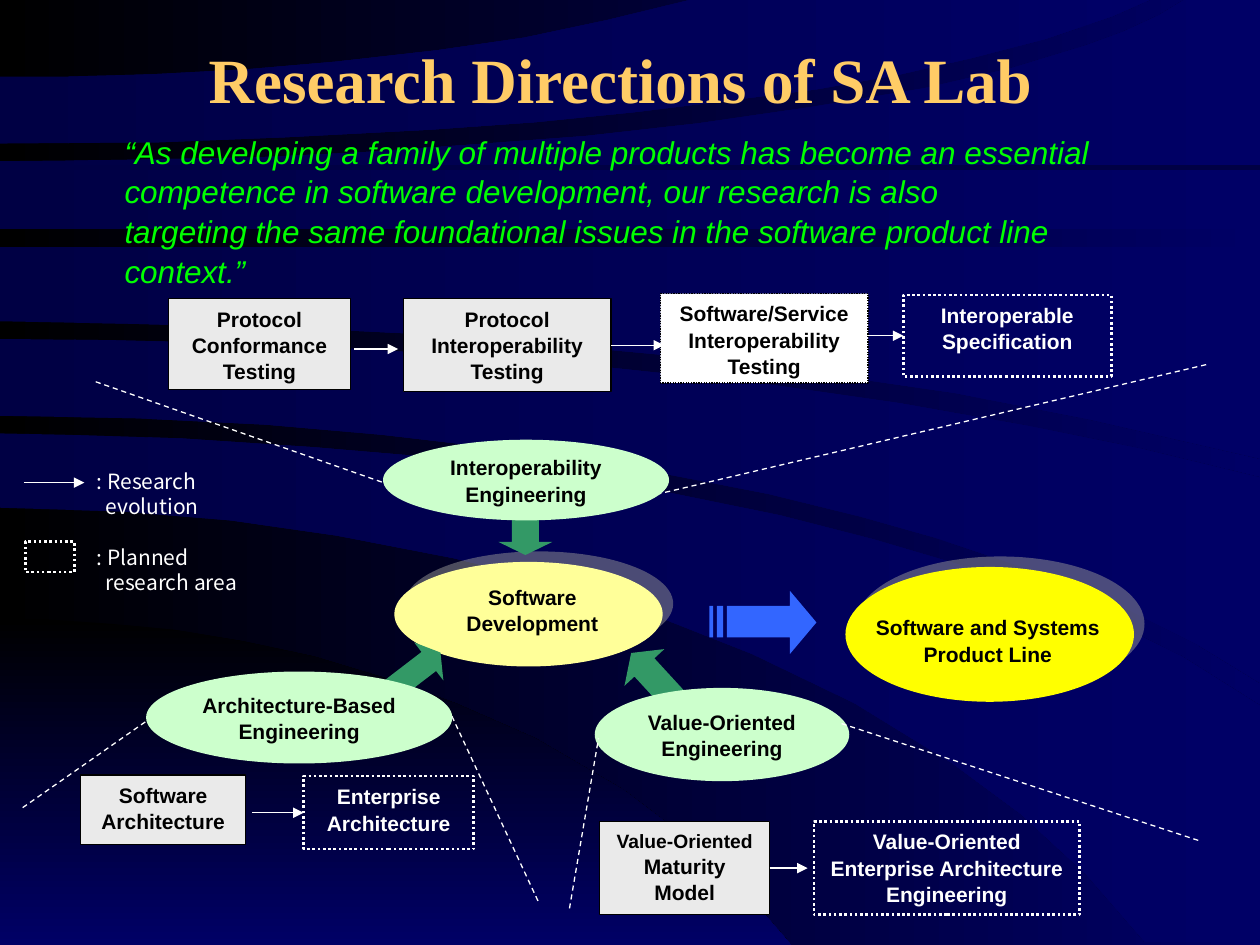
from lxml import etree
from pptx import Presentation
from pptx.dml.color import RGBColor
from pptx.enum.dml import MSO_LINE
from pptx.enum.shapes import MSO_CONNECTOR, MSO_SHAPE
from pptx.enum.text import MSO_ANCHOR, PP_ALIGN
from pptx.oxml.ns import qn
from pptx.util import Inches, Pt

CELL = Inches(0.1)
COLS, ROWS = 100, 75
RECT, OVAL, ROUND = MSO_SHAPE.RECTANGLE, MSO_SHAPE.OVAL, MSO_SHAPE.FLOWCHART_CONNECTOR
ARROW, STRAIGHT = MSO_SHAPE.LEFT_ARROW, MSO_CONNECTOR.STRAIGHT
DOT, DASH = MSO_LINE.ROUND_DOT, MSO_LINE.DASH
TOP, MIDDLE = MSO_ANCHOR.TOP, MSO_ANCHOR.MIDDLE
LEFT, CENTER = PP_ALIGN.LEFT, PP_ALIGN.CENTER
HUES = {
    "black": "000000", "white": "FFFFFF", "navy": "000066", "night": "000044",
    "gold": "FFCC66", "lime": "00FF00", "gray": "EAEAEA", "mint": "CCFFCC",
    "cream": "FFFF99", "yellow": "FFFF00", "green": "339966", "blue": "3366FF",
    "shade": "969696",
}
MOUND = [(0, 75), (0, 49.1), (2.9, 49.1), (8.6, 49.5), (13.9, 50), (19.3, 50.9), (24.9, 52.1),
         (30.5, 53.8), (36.1, 55.8), (42.5, 58.6), (49.5, 62.7), (55.3, 67.1), (59.6, 71.3),
         (62.8, 75)]
BANDS = [
    [(0, 34.4), (0, 40.3), (9.7, 40.6), (18.3, 41.3), (26.7, 42.5), (36, 44.3), (44.2, 46.3),
     (52.1, 48.9), (59.7, 51.9), (67.8, 55.8), (75.6, 60.6), (81, 64.6), (86.2, 69.4),
     (90.9, 74.8), (100, 74.8), (100, 56), (93.8, 52.1), (87.3, 48.9), (81.8, 46.8), (76.1, 44.8),
     (69.3, 42.8), (61.9, 40.9), (52.1, 38.9), (42.6, 37.4), (34.3, 36.3), (24.9, 35.5),
     (14.4, 34.8), (4.9, 34.5)],
    [(0, 26.9), (0, 33), (10.9, 33.2), (21.1, 33.7), (30.3, 34.5), (40.6, 35.7), (51.2, 37.3),
     (61, 39.2), (68.3, 41), (74.3, 42.7), (81.7, 45.2), (88.1, 47.7), (95.1, 51.2), (100, 54.2),
     (100, 37.9), (90.5, 35.6), (81.6, 33.8), (71.4, 32), (61.6, 30.6), (52.3, 29.6),
     (43.8, 28.7), (34.9, 28.1), (26.5, 27.6), (16.8, 27.2), (8.9, 27)],
    [(0, 19.6), (0, 25.5), (10.3, 25.7), (22.8, 26), (33.2, 26.5), (45.5, 27.5), (55.2, 28.4),
     (66.2, 29.8), (75.8, 31.2), (86.5, 33.3), (100, 36.4), (100, 19.6)],
    [(0, 12.8), (0, 18.2), (100, 18.2), (100, -0.2), (94.3, -0.2), (92, 1.2), (89.2, 2.5),
     (86.2, 3.6), (80.3, 5.4), (73.4, 7), (64.4, 8.5), (55.4, 9.8), (46.5, 10.8), (37.2, 11.5),
     (28.6, 12.1), (20.3, 12.5), (9.3, 12.7)],
    [(0, 6.1), (0, 11.4), (12.6, 11.3), (22.6, 10.9), (34.1, 10.3), (42.5, 9.7), (50.4, 8.9),
     (57.7, 8), (64.8, 7.1), (71.5, 5.9), (77.2, 4.6), (83, 3.1), (88.3, 1.3), (91.7, -0.2),
     (55.6, -0.2), (48.2, 1.6), (41.6, 3), (34.7, 4), (26.7, 4.9), (19.7, 5.5), (12.1, 5.9),
     (4.8, 6.1)],
]

deck = Presentation()
deck.slide_width, deck.slide_height = COLS * CELL, ROWS * CELL
slide = deck.slides.add_slide(deck.slide_layouts[6])
shapes = slide.shapes


def hue(name):
    """Return a named colour."""
    return RGBColor.from_string(HUES[name])


def spot(box, x, y):
    """Turn a cell of a box into slide lengths."""
    return round((box[0] + x) * CELL), round((box[1] + y) * CELL)


def fade(fill, start, end, angle=0):
    """Give a fill two gradient stops."""
    fill.gradient()
    fill.gradient_angle = angle
    for stop, name in zip(fill.gradient_stops, (start, end)):
        stop.color.rgb = hue(name)
    fill.gradient_stops[0].position, fill.gradient_stops[1].position = 0, 1


def write(frame, lines, size=12, first=None, color="black", font="Arial", bold=True, italic=False,
          align=CENTER, anchor=TOP, pad=(0.1, 0.05), lead=1.05, hang=0, wrap=True):
    """Fill a text frame with formatted paragraphs."""
    frame.word_wrap, frame.vertical_anchor = wrap, anchor
    frame.margin_left = frame.margin_right = Inches(pad[0])
    frame.margin_top = frame.margin_bottom = Inches(pad[1])
    for i, line in enumerate(lines):
        para = frame.add_paragraph() if i else frame.paragraphs[0]
        para.alignment, para.line_spacing = align, lead
        if i and hang:
            para._p.get_or_add_pPr().set("marL", str(Inches(hang)))
        run = para.add_run()
        run.text = line
        run.font.size = Pt(size if i or not first else first)
        run.font.name, run.font.bold, run.font.italic = font, bold, italic
        run.font.color.rgb = hue(color)


def label(box, x, y, w, h, lines, **form):
    """Add a text box."""
    write(shapes.add_textbox(*spot(box, x, y), *spot((0, 0), w, h)).text_frame, lines, **form)


def draw(box, x, y, w, h, kind=RECT, fill=None, edge=None, width=0.75, dash=None):
    """Add a preset shape."""
    item = shapes.add_shape(kind, *spot(box, x, y), *spot((0, 0), w, h))
    item.shadow.inherit = False
    if fill:
        item.fill.solid()
        item.fill.fore_color.rgb = hue(fill)
    else:
        item.fill.background()
    if edge:
        item.line.color.rgb, item.line.width = hue(edge), Pt(width)
        if dash:
            item.line.dash_style = dash
    else:
        item.line.fill.background()
    return item


def card(box, x, y, w, h, lines, **form):
    """Add a box for current research."""
    item = draw(box, x, y, w, h, fill="gray", edge="black")
    write(item.text_frame, lines, **form)
    return item


def plan(box, x, y, w, h, lines=()):
    """Add a dotted box for planned research."""
    item = draw(box, x, y, w, h, edge="white", width=1.5, dash=DOT)
    write(item.text_frame, lines, color="white")
    return item


def field(box, x, y, w, h, name):
    """Add a mint oval that names a field of engineering."""
    item = draw(box, x, y, w, h, ROUND, "mint")
    write(item.text_frame, [name, "Engineering"], anchor=MIDDLE, pad=(0.07, 0.03))


def point(box, x, y, w, h, turn, tip):
    """Add a turned green arrow."""
    item = draw(box, x, y, w, h, ARROW, "green")
    item.rotation, item.adjustments[1] = turn, tip


def glow(box, x, y, w, h, fill):
    """Add an oval with a raised shadow."""
    item = draw(box, x, y, w, h, OVAL, fill)
    cast = etree.SubElement(item._element.spPr.find(qn("a:effectLst")), qn("a:outerShdw"),
                            dist=str(Pt(8.5)), dir="18900000", algn="ctr", rotWithShape="0")
    tone = etree.SubElement(cast, qn("a:srgbClr"), val=HUES["shade"])
    etree.SubElement(tone, qn("a:alpha"), val="50000")


def link(box, start, end, color="white", width=0.75, dash=None, head=False, src=None, dst=None):
    """Add a straight line, joined to boxes where given."""
    item = shapes.add_connector(STRAIGHT, *spot(box, *start), *spot(box, *end))
    if src:
        item.begin_connect(src, 3)
    if dst:
        item.end_connect(dst, 1)
    item.line.color.rgb, item.line.width = hue(color), Pt(width)
    if dash:
        item.line.dash_style = dash
    props = item._element.spPr
    if head:
        etree.SubElement(props.find(qn("a:ln")), qn("a:tailEnd"), type="triangle")
    etree.SubElement(props, qn("a:effectLst"))


def trace(box, *rings):
    """Add an outline made of closed rings."""
    pen = shapes.build_freeform(*spot(box, *rings[0][0]))
    for i, ring in enumerate(rings):
        if i:
            pen.move_to(*spot(box, *ring[0]))
        pen.add_line_segments([spot(box, *dot) for dot in ring[1:]], close=True)
    item = pen.convert_to_shape()
    item.shadow.inherit = False
    item.line.fill.background()
    return item


def scene(box):
    """Paint the background and its curved bands."""
    fade(slide.background.fill, "black", "navy")
    fade(trace(box, MOUND).fill, "black", "navy", 270)
    for band in BANDS:
        fade(trace(box, band).fill, "night", "navy")
    link(box, (0, 13.3), (box[2], 13.3), color="night", width=3)


def header(box):
    """Place the title and the quotation."""
    label(box, 0, 0, 93.3, 8.3, ["Research Directions of SA Lab"], size=36, color="gold",
          font="Times New Roman", anchor=MIDDLE, lead=1)
    label(box, 6.3, 7.8, 85.6, 10, [
        "“As developing a family of multiple products has become an essential",
        "competence in software development, our research is also",
        "targeting the same foundational issues in the software product line context.”",
    ], size=18, color="lime", bold=False, italic=True, align=LEFT, wrap=False)


def hub(box):
    """Place the central oval, the striped arrow and the goal."""
    glow(box, 0, 0, 21.3, 8.3, "cream")
    stripes = [[(a, 3.5), (a, 6), (b, 6), (b, 3.5)] for a, b in ((25.6, 26.1), (25, 25.3))]
    body = [(31.4, 2.3), (31.4, 3.5), (26.4, 3.5), (26.4, 6), (31.4, 6), (31.4, 7.3), (33.5, 4.8)]
    arrow = trace(box, body, *stripes)
    arrow.fill.solid()
    arrow.fill.fore_color.rgb = hue("blue")
    glow(box, 35.8, 0.4, 22.9, 10.7, "yellow")
    label(box, 2.1, 1.2, 17.7, 6.8, ["Software Development"])
    label(box, 35.4, 3.6, 23.4, 6.8, ["Software and Systems Product Line"])


def interop(box):
    """Place the interoperability branch."""
    link(box, (41.7, 16.6), (88.3, 5.6), dash=DASH)
    link(box, (0, 7), (23.1, 15.1), dash=DASH)
    point(box, 32.1, 16.6, 4, 4.3, 270, 0.262)
    field(box, 22.8, 11.6, 22.7, 6.4, "Interoperability")
    card(box, 5.8, 0.4, 14.4, 7.2, ["Protocol", "Conformance Testing"])
    test = card(box, 24.4, 0.4, 16.5, 7.4, ["Protocol", "Interoperability", "Testing"])
    serve = draw(box, 44.8, 0, 16.5, 7.1, fill="white", edge="black", dash=DOT)
    write(serve.text_frame, ["Software/Service", "Interoperability", "Testing"])
    goal = plan(box, 64.1, 0.1, 16.5, 6.5, ["Interoperable", "Specification"])
    link(box, (20.5, 4.4), (24, 4.4), head=True)
    link(box, (40.9, 4.1), (45.1, 4.1), head=True, src=test)
    link(box, (61.3, 3.35), (64.1, 3.35), head=True, dst=goal)


def design(box):
    """Place the architecture branch."""
    link(box, (0, 12.6), (10.3, 5.4), dash=DASH)
    link(box, (40.9, 20), (34, 5.2), dash=DASH)
    point(box, 28.4, 0, 5.3, 3.8, 142.5, 0.307)
    field(box, 9.8, 1.8, 24.3, 7.3, "Architecture-Based")
    card(box, 4.6, 10, 13.1, 5.5, ["Software", "Architecture"])
    goal = plan(box, 22.3, 10.1, 13.5, 5.8, ["Enterprise", "Architecture"])
    link(box, (18.2, 13), (22.3, 13), head=True, dst=goal)


def value(box):
    """Place the value branch."""
    point(box, 4, 0, 5.5, 4.3, 47.4, 0.363)
    field(box, 2, 2.9, 20.2, 7.4, "Value-Oriented")
    link(box, (0, 20.4), (2.3, 6.9), dash=DASH)
    link(box, (49.9, 15), (21.5, 5.7), dash=DASH)
    model = card(box, 2.4, 13.5, 13.5, 7.4, ["Value-Oriented", "Maturity", "Model"], first=11)
    plan(box, 19.4, 13.5, 21.1, 7.4, ["Value-Oriented", "Enterprise Architecture", "Engineering"])
    link(box, (15.9, 17.2), (18.9, 17.2), head=True, src=model)


def legend(box):
    """Explain the arrow and the dotted box."""
    plan(box, 0.1, 6.3, 3.9, 2.4)
    link(box, (0, 1.6), (4.8, 1.6), head=True)
    for y, lines in ((0, [": Research", "evolution"]), (6, [": Planned", "research area"])):
        label(box, 4.8, y, 14.2, 5, lines, color="white", font="Noto Sans CJK KR", bold=False,
              align=LEFT, lead=Pt(14.4), hang=0.07)


scene((0, 0, COLS, ROWS))
header((2.6, 2.1, 93.3, 17.8))
hub((31.3, 44.6, 58.7, 11.1))
interop((7.6, 23.3, 88.3, 20.9))
design((1.8, 51.5, 40.9, 20))
value((45.2, 51.7, 49.9, 20.9))
legend((1.9, 36.7, 19, 11))
deck.save("out.pptx")
